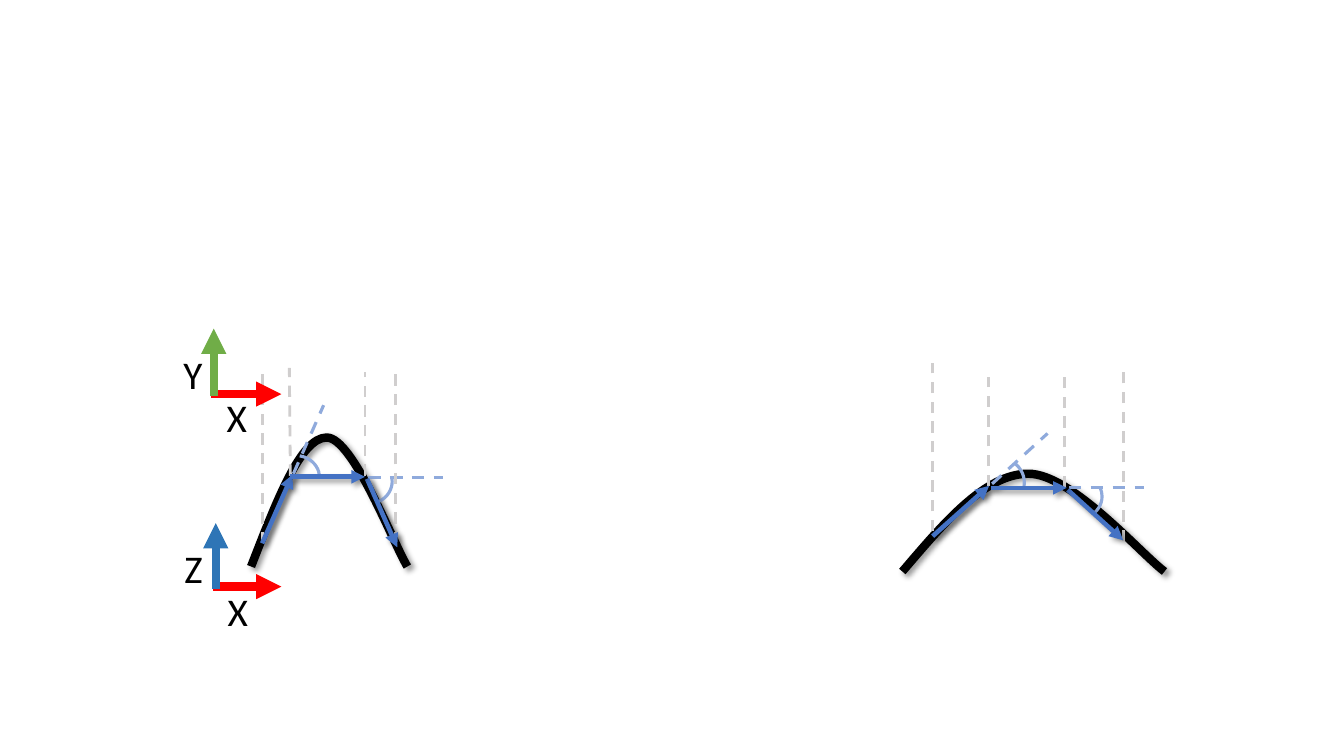
from lxml import etree
from pptx import Presentation
from pptx.dml.color import RGBColor
from pptx.enum.dml import MSO_LINE
from pptx.enum.shapes import MSO_CONNECTOR, MSO_SHAPE
from pptx.oxml.ns import qn
from pptx.util import Inches, Pt

DASH = MSO_LINE.DASH
STRAIGHT = MSO_CONNECTOR.STRAIGHT
ARC = MSO_SHAPE.ARC

BLACK = RGBColor(0x00, 0x00, 0x00)
RED = RGBColor(0xFF, 0x00, 0x00)
GREEN = RGBColor(0x70, 0xAD, 0x47)
BLUE = RGBColor(0x2E, 0x75, 0xB6)
STEP = RGBColor(0x44, 0x72, 0xC4)
PALE = RGBColor(0x8F, 0xAA, 0xDC)
GREY = RGBColor(0xD0, 0xCE, 0xCE)

# Curves: start, then two cubic segments of three points each
CURVES = [
    [(8.95, 5.67), (9.36, 5.19), (9.77, 4.7), (10.2, 4.7),
     (10.63, 4.7), (11.31, 5.49), (11.55, 5.67)],
    [(2.49, 5.62), (2.74, 4.98), (2.98, 4.34), (3.24, 4.34),
     (3.5, 4.34), (3.9, 5.39), (4.04, 5.62)],
]
# Lines: x1, y1, x2, y2
TANGENTS = [
    (9.84, 4.8, 10.39, 4.3), (10.6, 4.84, 11.35, 4.84),
    (2.91, 4.7, 3.21, 4.02), (3.65, 4.74, 4.39, 4.74),
]
GUIDES = [
    (2.88, 4.72, 2.87, 3.65), (3.62, 4.72, 3.62, 3.69),
    (2.6, 5.39, 2.6, 3.68), (9.8, 4.82, 9.8, 3.74),
    (10.56, 4.83, 10.56, 3.69), (11.14, 5.37, 11.14, 3.69),
    (9.25, 5.27, 9.25, 3.6), (3.92, 5.39, 3.92, 3.68),
]
STEPS = [
    (3.64, 4.75, 3.94, 5.43), (2.6, 5.39, 2.9, 4.71),
    (10.59, 4.86, 11.14, 5.36), (9.25, 5.32, 9.81, 4.82),
    (9.83, 4.84, 10.58, 4.84), (2.88, 4.73, 3.62, 4.73),
]
# Angle arcs: box, then start and end adjustments
ARCS = [
    ((9.69, 4.55, 0.47, 0.48), (184.974, 6.377)),
    ((10.44, 4.7, 0.49, 0.45), (203.595, 27.348)),
    ((3.41, 4.55, 0.48, 0.45), (209.335, 41.532)),
    ((2.7, 4.52, 0.47, 0.44), (168.059, 215.493)),
]


def inches(values):
    return [Inches(v) for v in values]


def set_shadow(shape, shown):
    """Replace the theme effect by a soft shadow or by none."""
    effects = etree.SubElement(shape._element.spPr, qn("a:effectLst"))
    if shown:
        outer = etree.SubElement(effects, qn("a:outerShdw"), blurRad="50800",
                                 dist="38100", dir="2700000", algn="tl",
                                 rotWithShape="0")
        color = etree.SubElement(outer, qn("a:srgbClr"), val=str(BLACK))
        etree.SubElement(color, qn("a:alpha"), val="40000")


def set_line(shape, color, width, shadow=False):
    shape.line.color.rgb = color
    shape.line.width = Pt(width)
    set_shadow(shape, shadow)


def add_line(shapes, ends, color, width, dash=False, arrow=False, shadow=False):
    line = shapes.add_connector(STRAIGHT, *inches(ends))
    set_line(line, color, width, shadow)
    if dash:
        line.line.dash_style = DASH
    if arrow:
        ln = line._element.spPr.find(qn("a:ln"))
        etree.SubElement(ln, qn("a:tailEnd"), type="triangle")


def add_curve(shapes, points):
    start, *rest = [inches(p) for p in points]
    form = shapes.build_freeform(*start)
    form.add_line_segments(rest, close=False)
    curve = form.convert_to_shape()
    curve.fill.background()
    set_line(curve, BLACK, 6, shadow=True)
    # Join each three points into one cubic segment
    parts = list(curve._element.iter(qn("a:lnTo")))
    for i in range(0, len(parts), 3):
        cubic = etree.Element(qn("a:cubicBezTo"))
        parts[i].addprevious(cubic)
        for part in parts[i:i + 3]:
            cubic.append(part[0])
            part.getparent().remove(part)


def add_arc(shapes, box, angles):
    arc = shapes.add_shape(ARC, *inches(box))
    for i, angle in enumerate(angles):
        arc.adjustments[i] = angle
    arc.fill.background()
    set_line(arc, PALE, 2.25)


def add_label(shapes, text, box):
    frame = shapes.add_textbox(*inches(box)).text_frame
    frame.word_wrap = True
    run = frame.paragraphs[0].add_run()
    run.text = text
    run.font.size = Pt(28)
    run.font.name = "Calibri"
    run.font.color.rgb = BLACK


def add_axes(shapes, across, upward, color, labels):
    group = shapes.add_group_shape().shapes
    add_line(group, across, RED, 6, arrow=True)
    add_line(group, upward, color, 6, arrow=True)
    for text, box in labels:
        add_label(group, text, box)


def main():
    prs = Presentation()
    prs.slide_width, prs.slide_height = Inches(13.33), Inches(7.5)
    shapes = prs.slides.add_slide(prs.slide_layouts[6]).shapes

    # Bent profiles
    for points in CURVES:
        add_curve(shapes, points)

    # Extended directions and the angles between them
    for ends in TANGENTS:
        add_line(shapes, ends, PALE, 2.25, dash=True)
    for box, angles in ARCS:
        add_arc(shapes, box, angles)

    # Sampling guides
    for ends in GUIDES:
        add_line(shapes, ends, GREY, 2, dash=True)

    # Coordinate axes
    add_axes(shapes, (2.09, 3.91, 2.79, 3.91), (2.12, 3.93, 2.12, 3.26), GREEN,
             [("X", (2.15, 3.85, 0.41, 0.57)), ("Y", (1.72, 3.43, 0.39, 0.57))])
    add_axes(shapes, (2.11, 5.82, 2.79, 5.82), (2.14, 5.84, 2.14, 5.19), BLUE,
             [("X", (2.16, 5.78, 0.64, 0.9)), ("Z", (1.73, 5.35, 0.61, 0.9))])

    # Steps along the profiles
    for ends in STEPS:
        add_line(shapes, ends, STEP, 3.25, arrow=True, shadow=True)

    prs.save("out.pptx")


if __name__ == "__main__":
    main()
